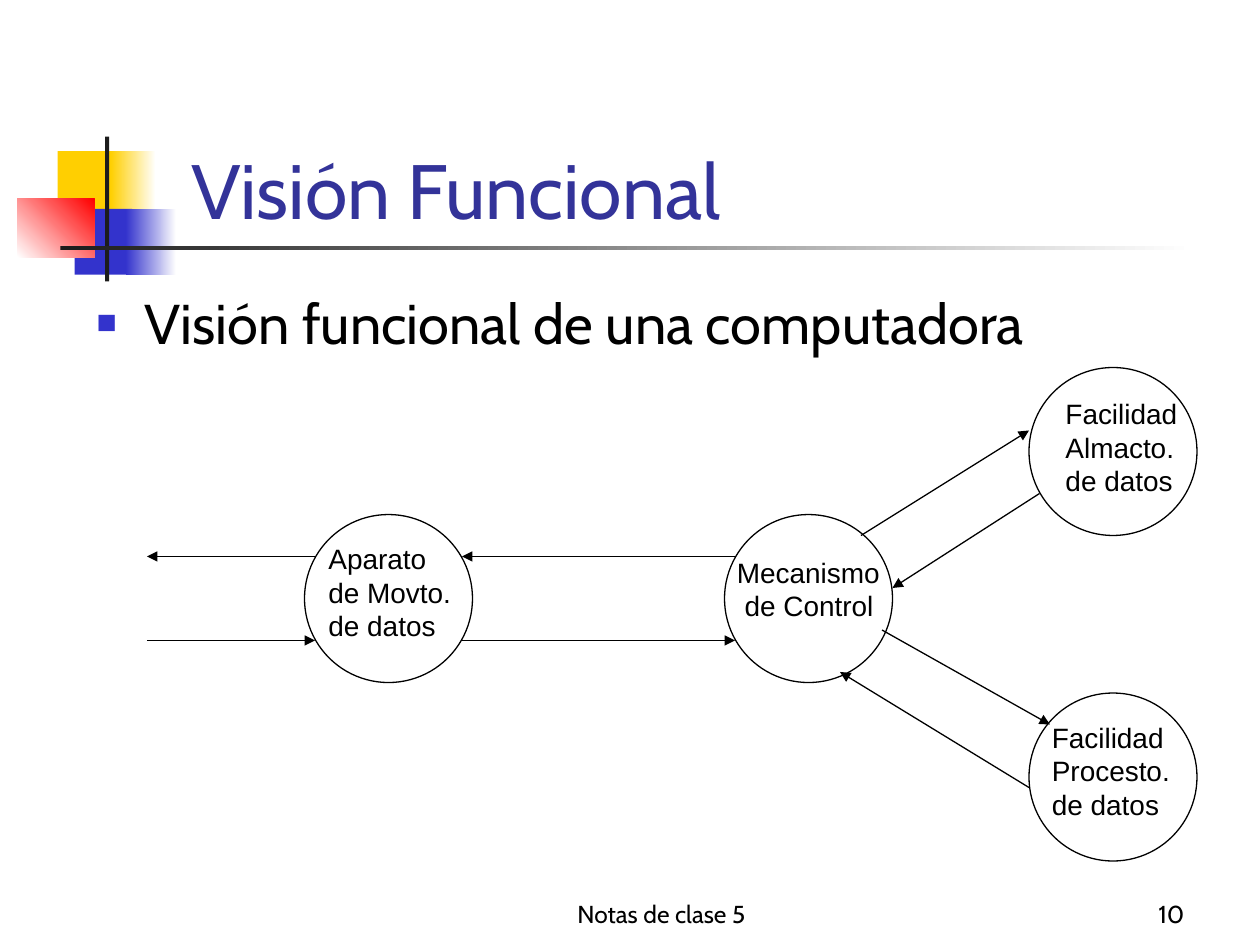
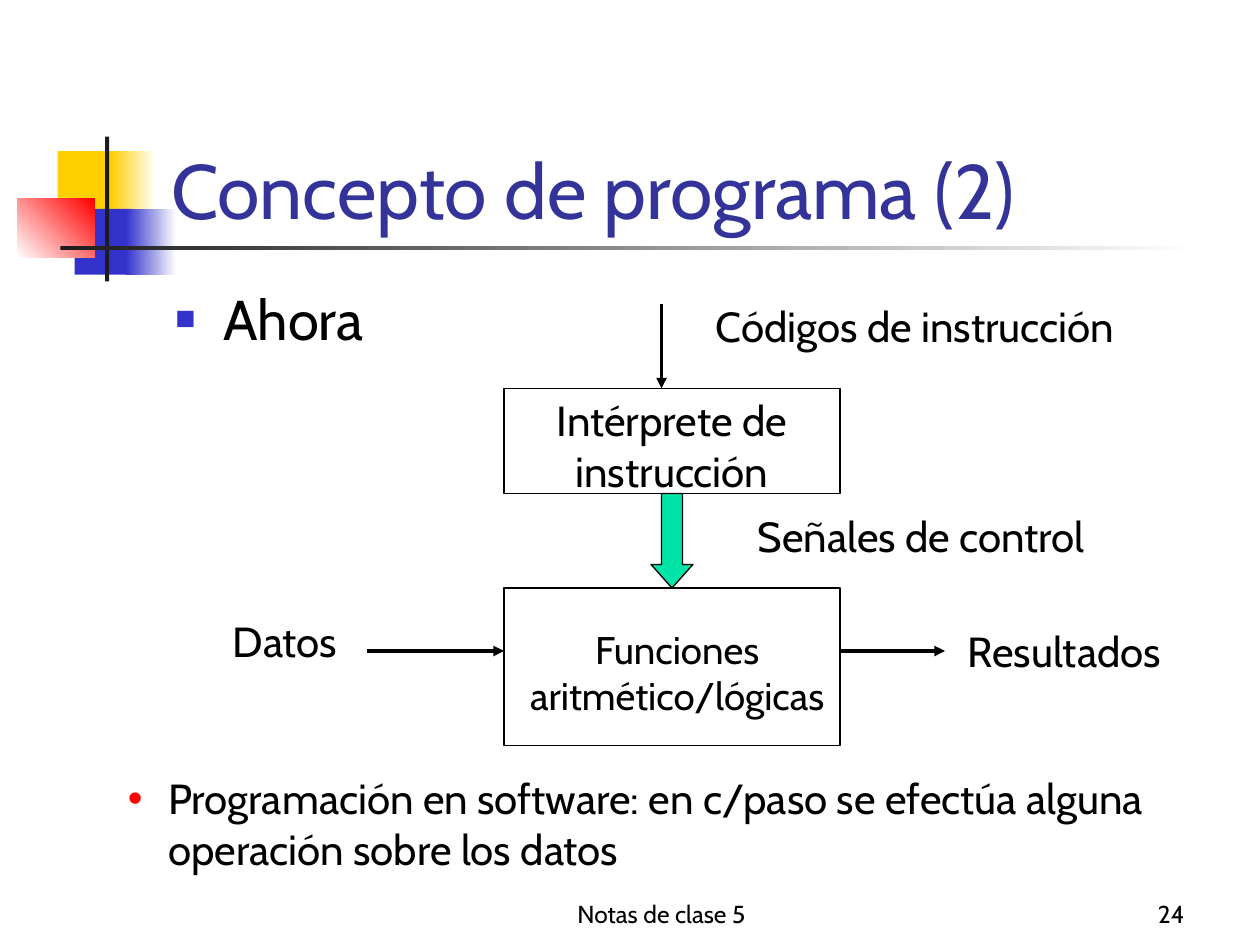
"""Build two class slides: a functional view of a computer and the concept of a program."""
from lxml import etree
from pptx import Presentation
from pptx import util as u
from pptx.dml.color import RGBColor
from pptx.enum import shapes, text
from pptx.oxml import ns

INK = {"black": "000000", "white": "FFFFFF", "title": "333399", "blue": "3333CC",
       "gold": "FFCF01", "red": "FF0000", "bar": "1C1C1C", "green": "00E4A8"}
RGB = {name: RGBColor.from_string(code) for name, code in INK.items()}
FORM, ALIGN, ANCHOR = shapes.MSO_SHAPE, text.PP_ALIGN, text.MSO_ANCHOR
LEFT, MID, RIGHT = ALIGN.LEFT, ALIGN.CENTER, ALIGN.RIGHT

deck = Presentation()
deck.slide_width, deck.slide_height = u.Inches(10), u.Inches(7.5)
CELL = deck.slide_width / 120


def grid(*cells):
    """Turn grid cells into slide lengths."""
    return [round(cell * CELL) for cell in cells]


def write(shape, words, size, font="Cabin", ink="black", align=LEFT,
          anchor=ANCHOR.TOP, wrap=True, mark=None):
    """Fill a shape with text, with an optional bullet (char, ink, percent, indent)."""
    frame = shape.text_frame
    frame.text = words
    frame.word_wrap = wrap
    frame.auto_size = text.MSO_AUTO_SIZE.NONE
    frame.vertical_anchor = anchor
    for para in frame.paragraphs:
        para.alignment = align
        for run in para.runs:
            run.font.name, run.font.size = font, u.Pt(size)
            run.font.color.rgb = RGB[ink]
        if mark:
            char, tint, share, dent = mark
            para.space_before = u.Pt(size / 4)
            props = para.runs[0]._r.getparent().get_or_add_pPr()
            props.set("marL", str(u.Inches(dent)))
            props.set("indent", str(-u.Inches(dent)))
            color = etree.SubElement(props, ns.qn("a:buClr"))
            etree.SubElement(color, ns.qn("a:srgbClr"), val=INK[tint])
            etree.SubElement(props, ns.qn("a:buSzPct"), val=str(share * 1000))
            etree.SubElement(props, ns.qn("a:buFont"), typeface="Arial")
            etree.SubElement(props, ns.qn("a:buChar"), char=char)


layout = deck.slide_layouts[1]
pages = []
for title, spot, item, area, number in [
    ("Visión Funcional", (17, 8, 94, 15),
     "Visión funcional de una computadora", (8, 26.9, 102, 9.1), "10"),
    ("Concepto de programa (2)", (15.1, 8, 102, 15),
     "Ahora", (15.5, 26.5, 102, 54), "24"),
]:
    page = deck.slides.add_slide(layout)
    pages.append(page)
    head, body = page.placeholders
    for holder, box in [(head, spot), (body, area)]:
        holder.left, holder.top, holder.width, holder.height = grid(*box)
    write(head, title, 44, ink="title", anchor=ANCHOR.BOTTOM)
    write(body, item, 32, mark=("■", "blue", 60, 0.38))
    for words, box, align in [("Notas de clase 5", (44, 83, 38, 6), MID),
                              (number, (89, 83, 25, 6), RIGHT)]:
        foot = page.shapes.add_textbox(*grid(*box))
        write(foot, words, 14, align=align, anchor=ANCHOR.BOTTOM)

for box, start, end, angle in [
    ((5.5, 14.4, 5.75, 6.25), "gold", None, 0),
    ((10.55, 14.4, 4.3, 6.25), "gold", "white", 0),
    ((7.1, 19.9, 5.5, 6.25), "blue", None, 0),
    ((12, 19.9, 4.8, 6.25), "blue", "white", 0),
    ((1.65, 18.95, 7.35, 5.55), "white", "red", 45),
    ((10, 13, 0.4, 13.8), "bar", None, 0),
    ((5.75, 23.4, 108, 0.4), "bar", "white", 0),
]:
    block = pages[0].shapes.add_shape(FORM.RECTANGLE, *grid(*box))
    block.shadow.inherit = False
    block.line.fill.background()
    if end:
        block.fill.gradient()
        block.fill.gradient_angle = angle
        for stop, name in zip(block.fill.gradient_stops, (start, end)):
            stop.color.rgb = RGB[name]
    else:
        block.fill.solid()
        block.fill.fore_color.rgb = RGB[start]
    layout.shapes.element.append(block.element)

view, plan = pages
for page, form, box, fill in [
    (view, FORM.OVAL, (29, 49, 16, 16), None),
    (view, FORM.OVAL, (69, 49, 16, 16), None),
    (view, FORM.OVAL, (98, 35, 16, 16), None),
    (view, FORM.OVAL, (98, 66, 16, 16), None),
    (plan, FORM.RECTANGLE, (48, 37, 32, 10), "white"),
    (plan, FORM.RECTANGLE, (48, 56, 32, 15), "white"),
    (plan, FORM.DOWN_ARROW, (62, 47, 4, 9), "green"),
]:
    node = page.shapes.add_shape(form, *grid(*box))
    node.shadow.inherit = False
    node.line.color.rgb, node.line.width = RGB["black"], u.Pt(0.75)
    if fill:
        node.fill.solid()
        node.fill.fore_color.rgb = RGB[fill]
    else:
        node.fill.background()
    if form == FORM.DOWN_ARROW:
        node.adjustments[1] = 0.56

for page, width, ends in [
    (view, 0.75, [(30, 53, 14, 53), (14, 61, 30, 61), (44, 61, 70, 61),
                  (70, 53, 44, 53), (82, 51, 98, 41), (99, 47, 85, 56),
                  (84, 60, 100, 69), (98, 75, 80, 64)]),
    (plan, 2, [(63, 29, 63, 37), (35, 62, 48, 62), (80, 62, 90, 62)]),
]:
    for end in ends:
        arrow = page.shapes.add_connector(shapes.MSO_CONNECTOR.STRAIGHT, *grid(*end))
        arrow.line.color.rgb, arrow.line.width = RGB["black"], u.Pt(width)
        etree.SubElement(arrow.get_or_add_ln(), ns.qn("a:tailEnd"), type="triangle")
        etree.SubElement(arrow.element.spPr, ns.qn("a:effectLst"))

for words, box, wrap in [
    ("Aparato\nde Movto. de datos", (30.1, 51, 15, 10.8), True),
    ("Mecanismo\n de Control", (69, 52.3, 16, 7.7), False),
    ("Facilidad\nAlmacto.\nde datos", (100.3, 37.2, 13, 10.8), False),
    ("Facilidad\nProcesto.\nde datos", (99, 68, 13.6, 10.8), False),
]:
    write(view.shapes.add_textbox(*grid(*box)), words, 16, "Arial", wrap=wrap)

for words, box, size, align, mark in [
    ("Códigos de instrucción", (67, 28, 47, 6), 24, LEFT, None),
    ("Intérprete de instrucción", (48, 37, 32, 10.8), 24, MID, None),
    ("Señales de control", (71, 48, 35, 10.8), 24, LEFT, None),
    ("Datos", (21, 58, 14, 6), 24, LEFT, None),
    ("Funciones aritmético/lógicas", (49, 59, 31, 14.9), 22, MID, None),
    ("Resultados", (91, 59, 22, 10.8), 24, LEFT, None),
    ("Programación en software: en c/paso se efectúa alguna operación sobre los datos",
     (11, 73, 104, 10.8), 24, LEFT, ("•", "red", 100, 0.32)),
]:
    write(plan.shapes.add_textbox(*grid(*box)), words, size, align=align, mark=mark)

deck.save("out.pptx")
